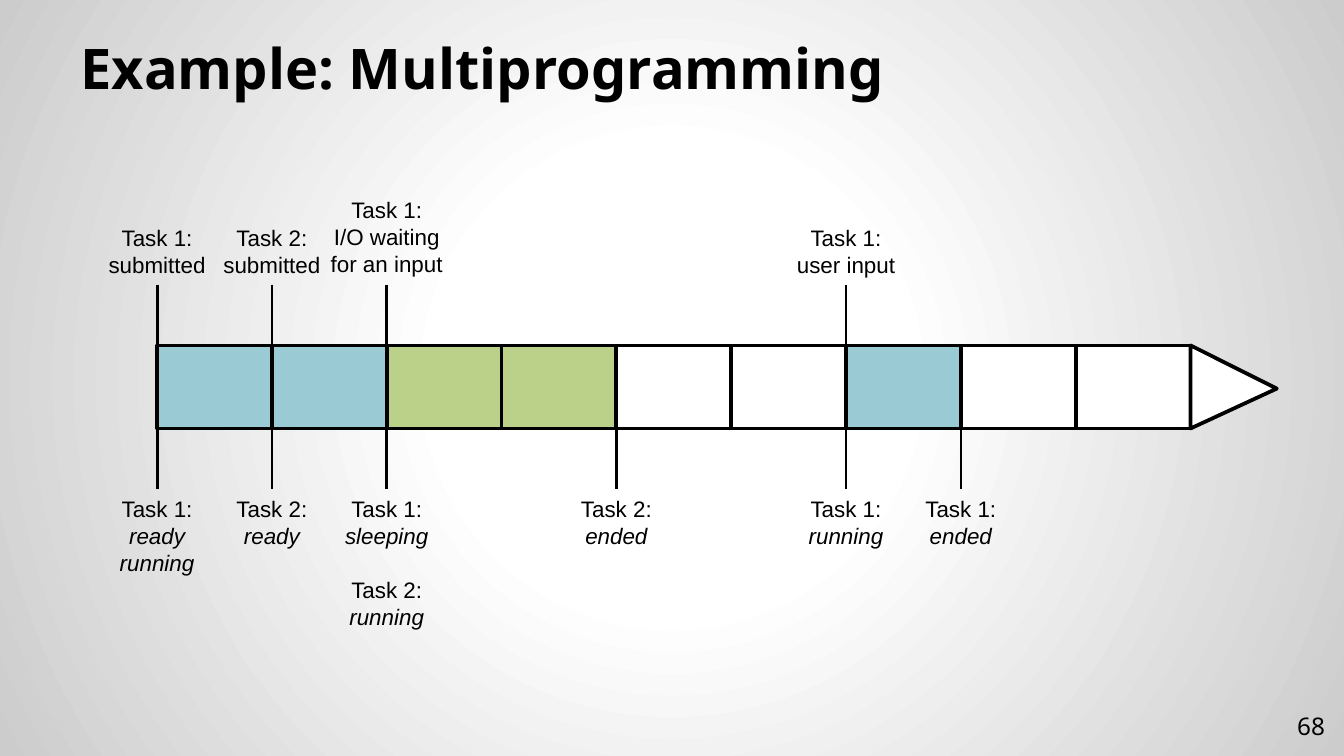
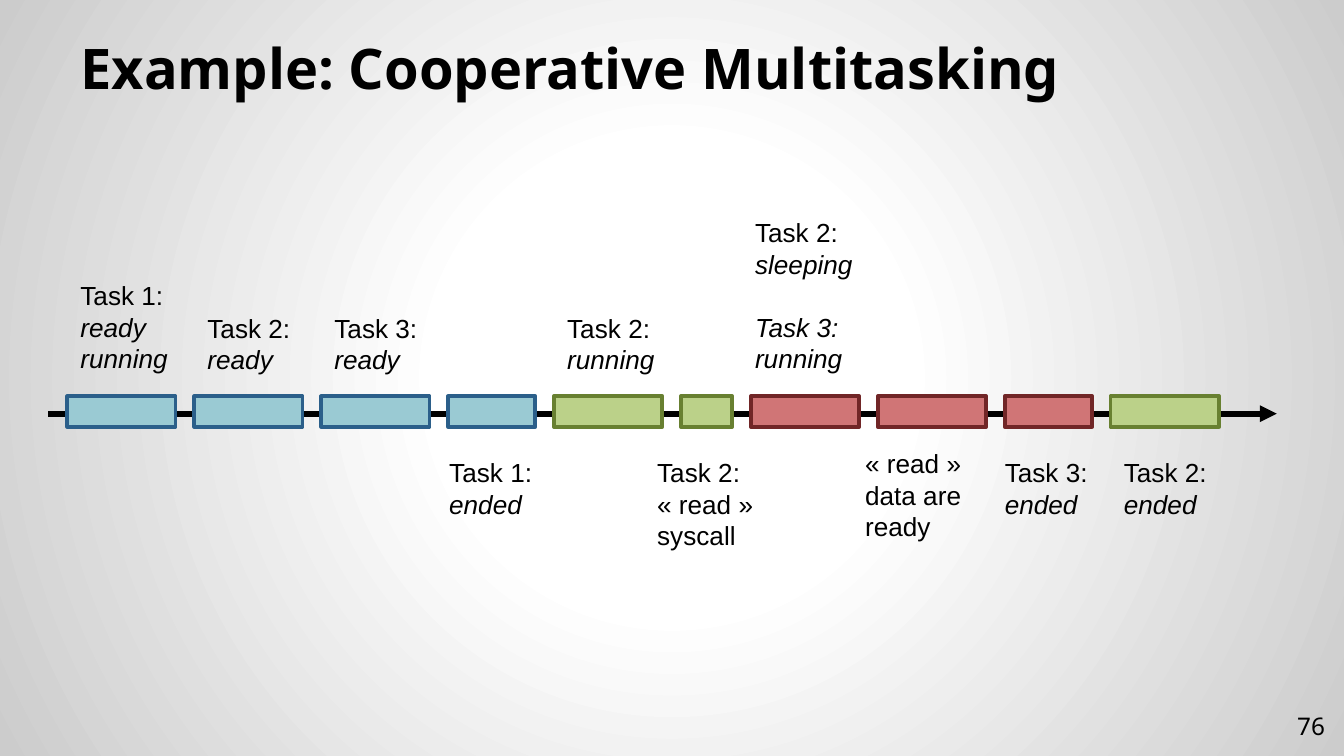
from lxml.etree import SubElement
from pptx import Presentation
from pptx.dml.color import RGBColor
from pptx.enum.shapes import MSO_CONNECTOR, MSO_SHAPE
from pptx.enum.text import MSO_ANCHOR, MSO_AUTO_SIZE, PP_ALIGN
from pptx.oxml import parse_xml
from pptx.oxml.ns import nsdecls, qn
from pptx.util import Cm, Pt

COLORS = {
    "black": "000000", "white": "FFFFFF", "edge": "CCCCCC",
    "blue": "9ACAD3", "green": "BBD189", "red": "D07576",
    "dark blue": "2B5F8A", "dark green": "688031", "dark red": "712627",
}


def write(box, text, size, font="Arial", bold=False, align=PP_ALIGN.LEFT,
          anchor=MSO_ANCHOR.TOP, fit=MSO_AUTO_SIZE.NONE, inset=0.13, gap_at=None):
    """Fill a box: \\n parts paragraphs, \\v parts lines, a leading _ means italic.

    gap_at is the index of a paragraph that stands one line further down.
    """
    frame = box.text_frame
    frame.word_wrap = True
    frame.auto_size = fit
    frame.vertical_anchor = anchor
    frame.margin_left = frame.margin_right = Cm(0.25)
    frame.margin_top = frame.margin_bottom = Cm(inset)
    for index, content in enumerate(text.split("\n")):
        para = frame.add_paragraph() if index else frame.paragraphs[0]
        para.alignment = align
        if index == gap_at:
            para.space_before = Pt(size * 1.2)
        for number, line in enumerate(content.split("\v")):
            if number:
                para.add_line_break()
            span = para.add_run()
            span.text = line.removeprefix("_")
            span.font.italic = line.startswith("_")
            span.font.name = font
            span.font.size = Pt(size)
            span.font.bold = bold
            span.font.color.rgb = RGBColor.from_string(COLORS["black"])


def add_block(page, left, top, width, height, fill, line, kind=MSO_SHAPE.RECTANGLE):
    block = page.shapes.add_shape(kind, Cm(left), Cm(top), Cm(width), Cm(height))
    block.shadow.inherit = False
    block.fill.solid()
    block.fill.fore_color.rgb = RGBColor.from_string(COLORS[fill])
    block.line.color.rgb = RGBColor.from_string(COLORS[line])
    block.line.width = Pt(2)
    return block


deck = Presentation()
deck.slide_width, deck.slide_height = Cm(25.4), Cm(14.29)

# Shared background: white centre fading to grey
master = deck.slide_master
master.background.fill.solid()
background = master.element.find(".//" + qn("p:bgPr"))
stops = "".join(
    f'<a:gs pos="{percent * 1000}"><a:srgbClr val="{COLORS[name]}"/></a:gs>'
    for percent, name in ((0, "white"), (30, "white"), (100, "edge")))
background.replace(background.find(qn("a:solidFill")), parse_xml(
    f'<a:gradFill {nsdecls("a")} rotWithShape="1"><a:gsLst>{stops}</a:gsLst>'
    '<a:path path="circle"><a:fillToRect l="50000" t="50000" r="50000" b="50000"/>'
    '</a:path></a:gradFill>'))

# Shared title and page number
pages = []
for title, number in (("Example: Multiprogramming", "68"),
                      ("Example: Cooperative Multitasking", "76")):
    page = deck.slides.add_slide(deck.slide_layouts[5])
    box = page.shapes.title
    box.left, box.top, box.width, box.height = Cm(1.27), Cm(0.58), Cm(22.86), Cm(1.57)
    write(box, title, 30, font="Noto Sans", bold=True, anchor=MSO_ANCHOR.BOTTOM, inset=0.25)
    box = page.shapes.add_textbox(Cm(23.77), Cm(13.18), Cm(1.52), Cm(1.09))
    write(box, number, 13, font="Noto Sans", align=PP_ALIGN.RIGHT,
          anchor=MSO_ANCHOR.MIDDLE, inset=0.25)
    pages.append(page)
batch_page, cooperative_page = pages

# Timeline cells with an arrow tip
CELL_LEFT, CELL_TOP, CELL_WIDTH, CELL_HEIGHT = 2.97, 6.53, 2.17, 1.57
cell_fills = ["blue"] * 2 + ["green"] * 2 + ["white"] * 2 + ["blue"] + ["white"] * 2
edges = [CELL_LEFT + CELL_WIDTH * index for index in range(len(cell_fills) + 1)]
for left, fill in zip(edges, cell_fills):
    add_block(batch_page, left, CELL_TOP, CELL_WIDTH, CELL_HEIGHT, fill, "black")
tip = add_block(batch_page, edges[-1] + 0.03, 6.5, CELL_HEIGHT, 1.63, "white", "black",
                MSO_SHAPE.ISOSCELES_TRIANGLE)
tip.rotation = 90
tip.adjustments[0] = 0.52

# Events: cell edge, text, width, height, paragraph after a gap
events_above = [
    (0, "Task 1:\vsubmitted", 2.6, 1.27),
    (1, "Task 2:\vsubmitted", 2.45, 1.27),
    (2, "Task 1:\vI/O waiting for an input", 2.66, 1.8),
    (6, "Task 1:\vuser input", 2.5, 1.27),
]
events_below = [
    (0, "Task 1:\v_ready\v_running", 3.38, 1.8, None),
    (1, "Task 2:\v_ready", 2.41, 1.27, None),
    (2, "Task 1:\v_sleeping\nTask 2:\n_running", 2.41, 2.82, 1),
    (4, "Task 2:\v_ended", 2.18, 1.27, None),
    (6, "Task 1:\v_running", 2.41, 1.27, None),
    (7, "Task 1:\v_ended", 1.98, 1.27, None),
]
TICK = 1.15
cell_bottom = CELL_TOP + CELL_HEIGHT
lines = []
labels = []
for edge, text, width, height in events_above:
    x = edges[edge]
    lines.append((batch_page, x, CELL_TOP - TICK, x, CELL_TOP, 1.5))
    labels.append((batch_page, text, x - width / 2, CELL_TOP - TICK - height,
                   width, height, None))
for edge, text, width, height, gap_at in events_below:
    x = edges[edge]
    lines.append((batch_page, x, cell_bottom, x, cell_bottom + TICK, 1.5))
    labels.append((batch_page, text, x - width / 2, cell_bottom + TICK - 0.02,
                   width, height, gap_at))

# The axis of the second timeline comes before its blocks, which cover it
lines.append((cooperative_page, 0.91, 7.82, 24.13, 7.82, 3))
for page, x1, y1, x2, y2, weight in lines:
    line = page.shapes.add_connector(MSO_CONNECTOR.STRAIGHT, Cm(x1), Cm(y1), Cm(x2), Cm(y2))
    line.line.color.rgb = RGBColor.from_string(COLORS["black"])
    line.line.width = Pt(weight)
    properties = line.element.spPr
    if page is cooperative_page:
        SubElement(properties.find(qn("a:ln")), qn("a:tailEnd"), type="triangle")
    SubElement(properties, qn("a:effectLst"))

# Time slices
LONG, MEDIUM, SHORT, GAP = 2.05, 1.65, 0.97, 0.35
slices = [
    ("blue", LONG), ("blue", LONG), ("blue", LONG), ("blue", MEDIUM),
    ("green", LONG), ("green", SHORT),
    ("red", LONG), ("red", LONG), ("red", MEDIUM),
    ("green", LONG),
]
slice_lefts = []
left = 1.27
for color, width in slices:
    add_block(cooperative_page, left, 7.49, width, 0.58, color, f"dark {color}")
    slice_lefts.append(left)
    left += width + GAP

# Notes: slice, text, shift from its left side, width, height, then gap or top
for index, text, shift, height, gap_at in (
        (0, "Task 1:\n_ready\n_running", 0, 2.06, None),
        (1, "Task 2:\n_ready", 0, 1.45, None),
        (2, "Task 3:\n_ready", 0, 1.45, None),
        (4, "Task 2:\n_running", 0, 1.45, None),
        (6, "Task 2:\n_sleeping\n_Task 3:\n_running", -0.17, 3.25, 2)):
    labels.append((cooperative_page, text, slice_lefts[index] + shift, 7.22 - height,
                   2.41, height, gap_at))
for index, text, shift, width, height, top in (
        (3, "Task 1:\n_ended", -0.23, 2.41, 1.45, 8.5),
        (5, "Task 2:\n« read » syscall", -0.7, 2.41, 2.06, 8.5),
        (7, "« read » data are ready", -0.49, 2.41, 2.06, 8.33),
        (8, "Task 3:\n_ended", -0.25, 2.18, 1.45, 8.5),
        (9, "Task 2:\n_ended", 0, 2.18, 1.45, 8.5)):
    labels.append((cooperative_page, text, slice_lefts[index] + shift, top,
                   width, height, None))

for page, text, left, top, width, height, gap_at in labels:
    box = page.shapes.add_textbox(Cm(left), Cm(top), Cm(width), Cm(height))
    size, align = (12, PP_ALIGN.CENTER) if page is batch_page else (14, PP_ALIGN.LEFT)
    write(box, text, size, align=align, fit=MSO_AUTO_SIZE.SHAPE_TO_FIT_TEXT, gap_at=gap_at)

deck.save("out.pptx")
